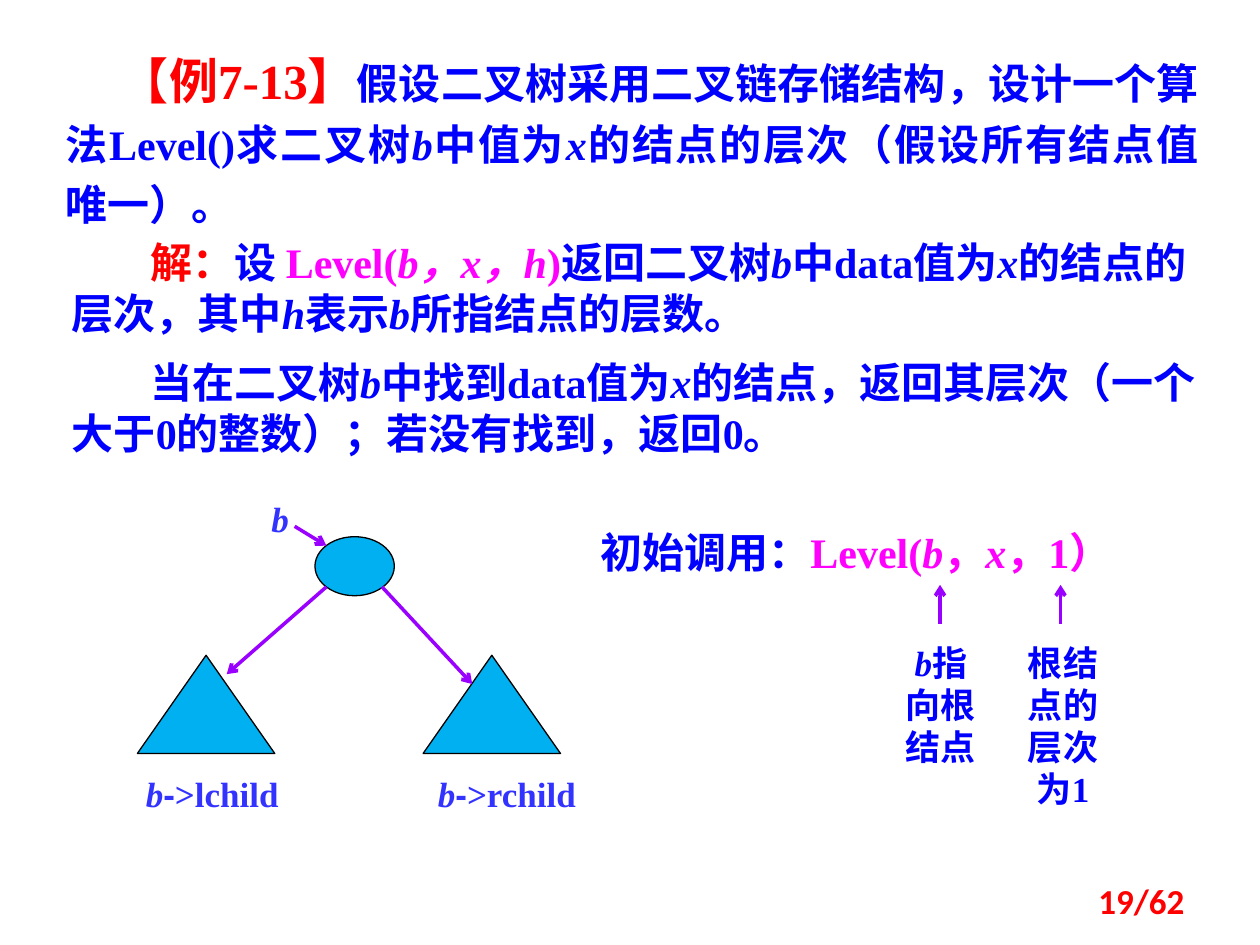
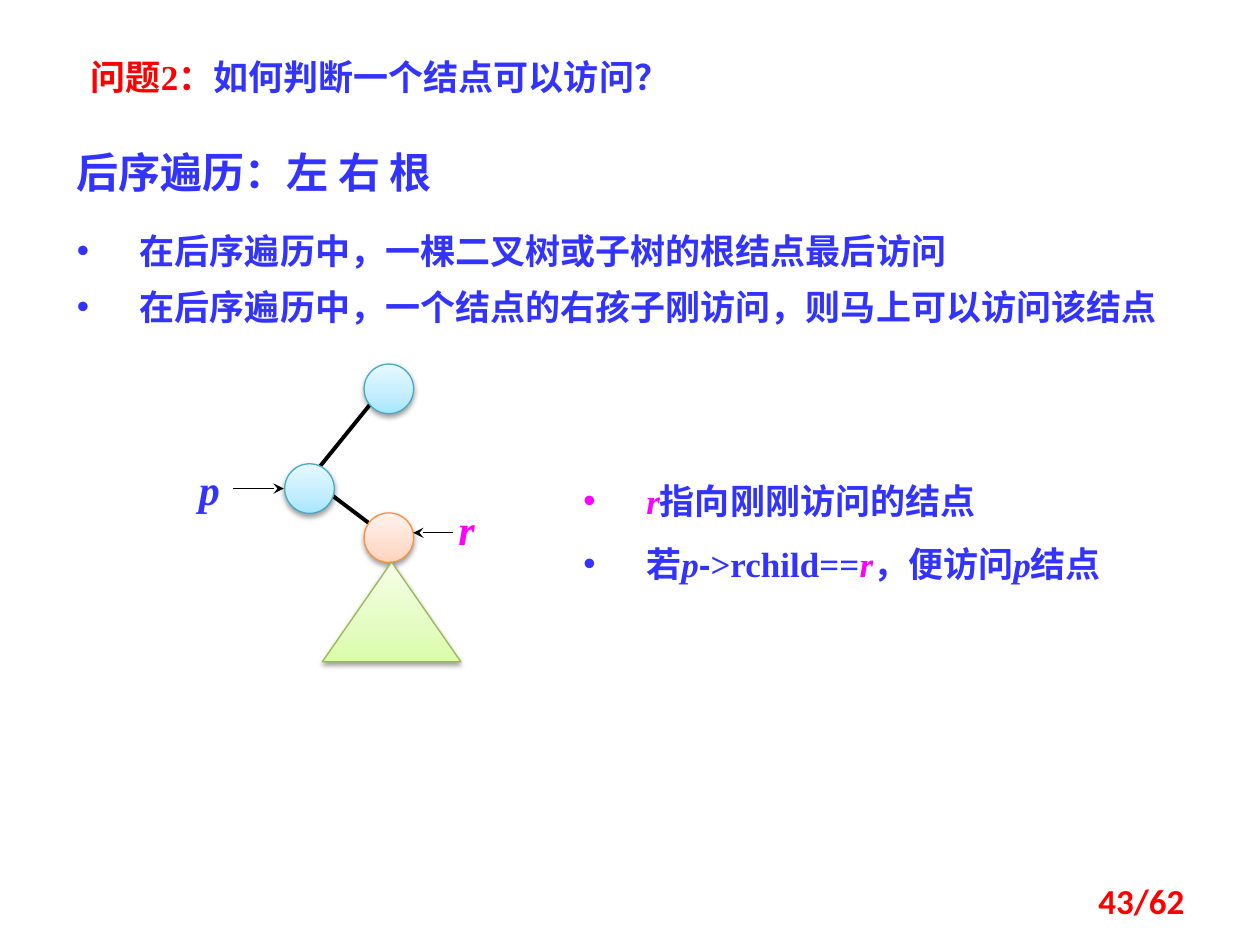
from copy import deepcopy
from dataclasses import dataclass

from lxml.etree import SubElement as Sub
from pptx import Presentation
from pptx.dml.color import RGBColor as Rgb
from pptx.enum.shapes import MSO_CONNECTOR as Link, MSO_SHAPE as Kind
from pptx.enum.text import MSO_ANCHOR as Anchor, PP_ALIGN as Align
from pptx.oxml.ns import qn
from pptx.util import Cm, Pt


@dataclass(frozen=True)
class Theme:
    red: str = "FF0000"
    blue: str = "0000FF"
    soft: str = "3333FF"
    pink: str = "FF00FF"
    violet: str = "9900FF"
    sky: str = "00B0F0"
    black: str = "000000"
    aqua: tuple = ("A7E6FF", "C1EDFF", "E7F8FF", "46AAC5")
    peach: tuple = ("FFD2BD", "FFDED0", "FFF2ED", "F69240")
    lime: tuple = ("DAFDA7", "E4FCC2", "F5FFE7", "98B955")
    serif: str = "Times New Roman"
    sans: str = "Arial"
    han: str = "Noto Sans CJK SC"
    foot: str = "Calibri"
    head: int = 28
    body: int = 24
    note: int = 20


T = Theme()


def place(box, x, y, w, h):
    return box[0] + x, box[1] + y, w, h


def style(run, tone, size, face, italic):
    font = run.font
    font.size, font.bold, font.italic = Pt(size), True, italic
    font.color.rgb = Rgb.from_string(tone)
    font.name = face
    Sub(run._r.get_or_add_rPr(), qn("a:ea"), typeface=T.han)


def indent(para, first, left=0, bullet=None):
    props = para._p.get_or_add_pPr()
    props.set("marL", str(Cm(left)))
    props.set("indent", str(Cm(first)))
    if bullet:
        Sub(props, qn("a:buFont"), typeface=T.sans)
        Sub(props, qn("a:buChar"), char=bullet)


def text(slide, box, paras, size=T.note, face=T.serif, align=Align.LEFT,
         anchor=Anchor.TOP, inset=None, first=0, bullet=False, lead=None, gap=0):
    frame = slide.shapes.add_textbox(*map(Cm, box)).text_frame
    frame.word_wrap, frame.vertical_anchor = True, anchor
    if inset is not None:
        frame.margin_left = frame.margin_right = Cm(inset)
        frame.margin_top = frame.margin_bottom = Cm(inset)
    for row, parts in enumerate(paras):
        para = frame.add_paragraph() if row else frame.paragraphs[0]
        if bullet:
            indent(para, -1.27, 1.27, "•")
        elif first:
            indent(para, first)
        para.alignment = align
        if lead:
            para.line_spacing = lead
        if row and gap:
            para.space_before = Pt(gap)
        for words, tone, *extra in parts:
            form = extra[0] if extra else {}
            for turn, piece in enumerate(words.split("*")):
                if piece:
                    run = para.add_run()
                    run.text = piece
                    style(run, tone, form.get("size", size),
                          form.get("face", face), turn % 2 == 1)


def shape(slide, kind, box, fill, edge):
    item = slide.shapes.add_shape(kind, *map(Cm, box))
    item.shadow.inherit = False
    item.line.width = Pt(0.75)
    item.line.color.rgb = Rgb.from_string(edge)
    if fill:
        item.fill.solid()
        item.fill.fore_color.rgb = Rgb.from_string(fill)
    return item


def glow(slide, kind, box, tint):
    *tones, edge = tint
    item = shape(slide, kind, box, None, edge)
    item.fill.gradient()
    item.fill.gradient_angle = 90
    props = item._element.spPr
    stops = props.find(".//" + qn("a:gsLst"))
    stops.append(deepcopy(stops[0]))
    for stop, tone, spot in zip(item.fill.gradient_stops, tones, (0, 0.35, 1)):
        stop.color.rgb, stop.position = Rgb.from_string(tone), spot
    cast = Sub(props.find(qn("a:effectLst")), qn("a:outerShdw"),
               blurRad=str(Pt(3.1)), dist=str(Pt(1.6)), dir="5400000", rotWithShape="0")
    shade = Sub(cast, qn("a:srgbClr"), val=T.black)
    Sub(shade, qn("a:alpha"), val="38000")


def line(slide, box, start, end, tone, width, tip=None):
    x, y = box[:2]
    item = slide.shapes.add_connector(
        Link.STRAIGHT, Cm(x + start[0]), Cm(y + start[1]), Cm(x + end[0]), Cm(y + end[1]))
    item.line.width = Pt(width)
    item.line.color.rgb = Rgb.from_string(tone)
    if tip:
        Sub(item.line._get_or_add_ln(), qn("a:tailEnd"), type=tip)
    Sub(item._element.spPr, qn("a:effectLst"))


def footer(slide, box, page):
    text(slide, box, [[(f"{page}/62", T.red)]], face=T.foot,
         align=Align.RIGHT, anchor=Anchor.MIDDLE)


def task(slide, box):
    text(slide, place(box, 0, 0, 23.34, 3.89), [[
        ("【例7-13】", T.red, {"size": T.head}),
        ("假设二叉树采用二叉链存储结构，设计一个算法Level()求二叉树*b*中值为*x*"
         "的结点的层次（假设所有结点值唯一）。", T.blue),
    ]], size=T.body, align=Align.JUSTIFY, first=1.1, lead=Pt(34))
    text(slide, place(box, 0.13, 3.76, 23.6, 4.88), [
        [("解：", T.red), ("设 ", T.blue), ("Level(*b，x，h*)", T.pink),
         ("返回二叉树*b*中data值为*x*的结点的层次，其中*h*表示*b*所指结点的层数。", T.blue)],
        [("当在二叉树*b*中找到data值为*x*的结点，返回其层次（一个大于0的整数）；"
          "若没有找到，返回0。", T.blue)],
    ], size=T.body, first=1.58, gap=11)


def tree(slide, box):
    shape(slide, Kind.OVAL, place(box, 3.76, 0.79, 1.6, 1.19), T.sky, T.black)
    label = dict(align=Align.CENTER, inset=0)
    text(slide, place(box, 2.77, 0, 0.58, 0.86), [[("*b*", T.soft)]], **label)
    for name, left, side in (("lchild", 0.18, 0), ("rchild", 5.94, 5.94)):
        shape(slide, Kind.ISOSCELES_TRIANGLE, place(box, left, 3.18, 2.77, 1.98),
              T.sky, T.black)
        text(slide, place(box, side, 5.54, 3.38, 0.86), [[
            ("*b*", T.soft), ("-", T.soft, {"face": T.sans}), (f">{name}", T.soft),
        ]], **label)
    for start, end in (((3.99, 1.8), (1.98, 3.56)), ((5.11, 1.8), (6.93, 3.76)),
                       ((3.35, 0.58), (3.99, 0.97))):
        line(slide, box, start, end, T.violet, 2, "arrow")


def call(slide, box):
    text(slide, box, [[("初始调用：", T.blue), ("Level(*b*，*x*，1）", T.pink)]],
         size=T.body, align=Align.CENTER)
    for words, left, high, mid in (("*b*指向根结点", 6.68, 2.82, 7.65),
                                   ("根结点的层次为1", 9.14, 3.68, 10.08)):
        line(slide, box, (mid, 2.08), (mid, 1.3), T.violet, 2, "arrow")
        text(slide, place(box, left, 2.31, 1.98, high), [[(words, T.blue)]],
             align=Align.CENTER)


def order(slide, box):
    text(slide, place(box, 0.28, 0, 15.88, 1.12),
         [[("问题2：", T.red), ("如何判断一个结点可以访问？", T.soft)]])
    text(slide, place(box, 0, 1.83, 9.8, 1.27),
         [[("后序遍历：左 右 根", T.soft)]], size=T.body, face=T.han)
    text(slide, place(box, 0, 3.23, 22.3, 2.54), [
        [("在后序遍历中，一棵二叉树或子树的根结点最后访问", T.soft)],
        [("在后序遍历中，一个结点的右孩子刚访问，则马上可以访问该结点", T.soft)],
    ], bullet=True, lead=Pt(32))


def visit(slide, box):
    for start, end in (((3.76, 0.74), (2.57, 2.21)), ((2.9, 2.62), (3.71, 3.23))):
        line(slide, box, start, end, T.black, 2.25)
    for x, y, tint in ((3.58, 0, T.aqua), (1.98, 2.01, T.aqua), (3.58, 3, T.peach)):
        glow(slide, Kind.OVAL, place(box, x, y, 1, 1), tint)
    glow(slide, Kind.ISOSCELES_TRIANGLE, place(box, 2.74, 3.99, 2.79, 2.01), T.lime)
    for name, tone, x, y, start, end in (
            ("p", T.soft, 0, 1.88, (0.94, 2.51), (1.96, 2.51)),
            ("r", T.pink, 5.23, 2.69, (5.38, 3.4), (4.57, 3.4))):
        line(slide, box, start, end, T.black, 0.75, "stealth")
        text(slide, place(box, x, y, 1.3, 1.27), [[(f"*{name}*", tone)]], size=T.body)


def rule(slide, box):
    text(slide, box, [
        [("*r*", T.pink), ("指向刚刚访问的结点", T.soft)],
        [("若*p*", T.soft), ("-", T.soft, {"face": T.sans}), (">rchild==", T.soft),
         ("*r*", T.pink), ("，便访问*p*结点", T.soft)],
    ], bullet=True, lead=1.5)


def main():
    deck = Presentation()
    deck.slide_width, deck.slide_height = Cm(25.4), Cm(19.05)
    pages = (
        (19, ((task, (1.07, 0.89, 23.73, 8.64)),
              (tree, (2.59, 10.03, 9.32, 6.4)),
              (call, (11.3, 10.49, 11.91, 1.27)))),
        (43, ((order, (1.3, 0.99, 22.3, 5.77)),
              (visit, (3.76, 7.34, 6.53, 6)),
              (rule, (11.51, 9.12, 11.71, 2.82)))),
    )
    for page, parts in pages:
        slide = deck.slides.add_slide(deck.slide_layouts[6])
        for draw, box in parts:
            draw(slide, box)
        footer(slide, (18.21, 17.65, 5.92, 1.02), page)
    deck.save("out.pptx")


if __name__ == "__main__":
    main()
